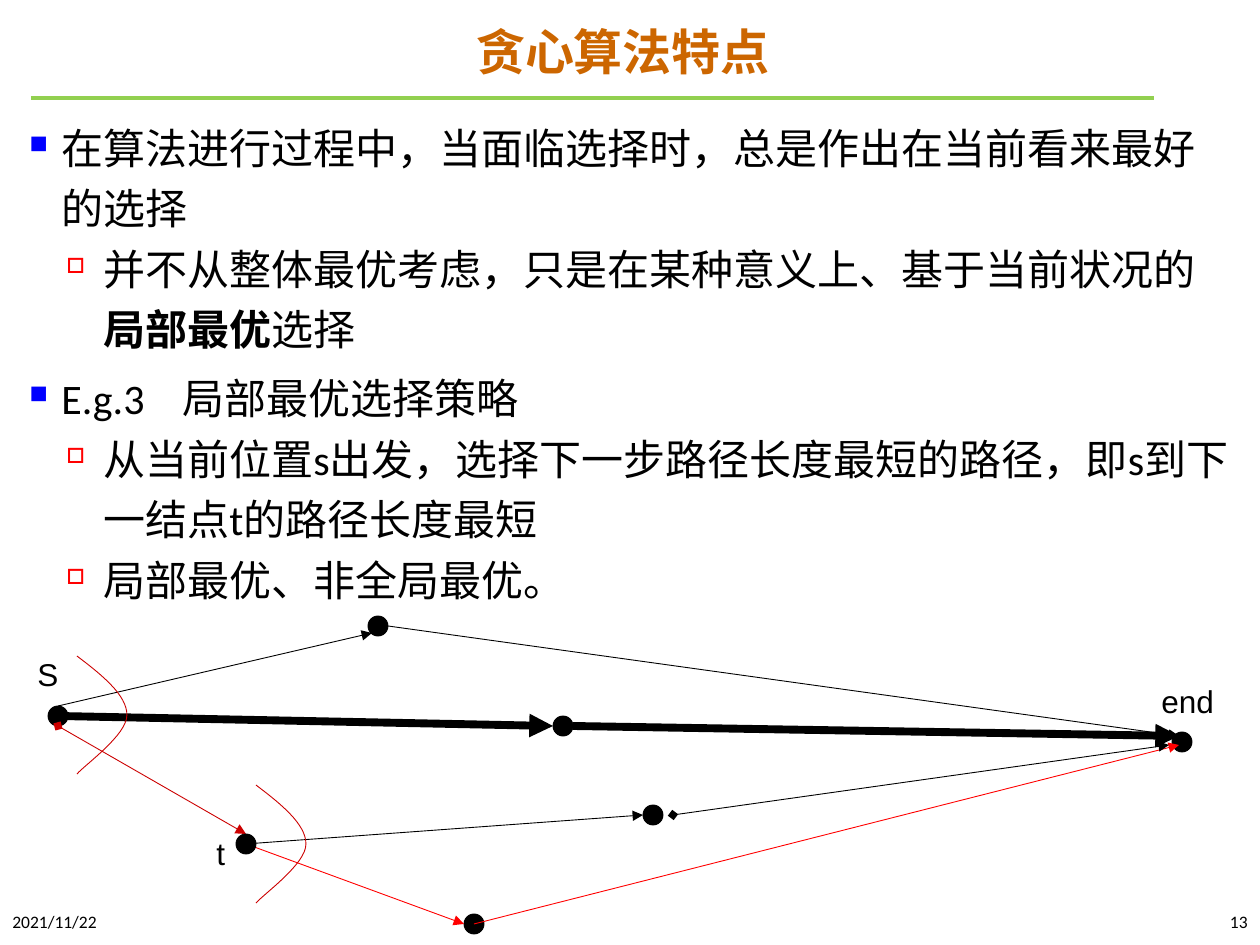
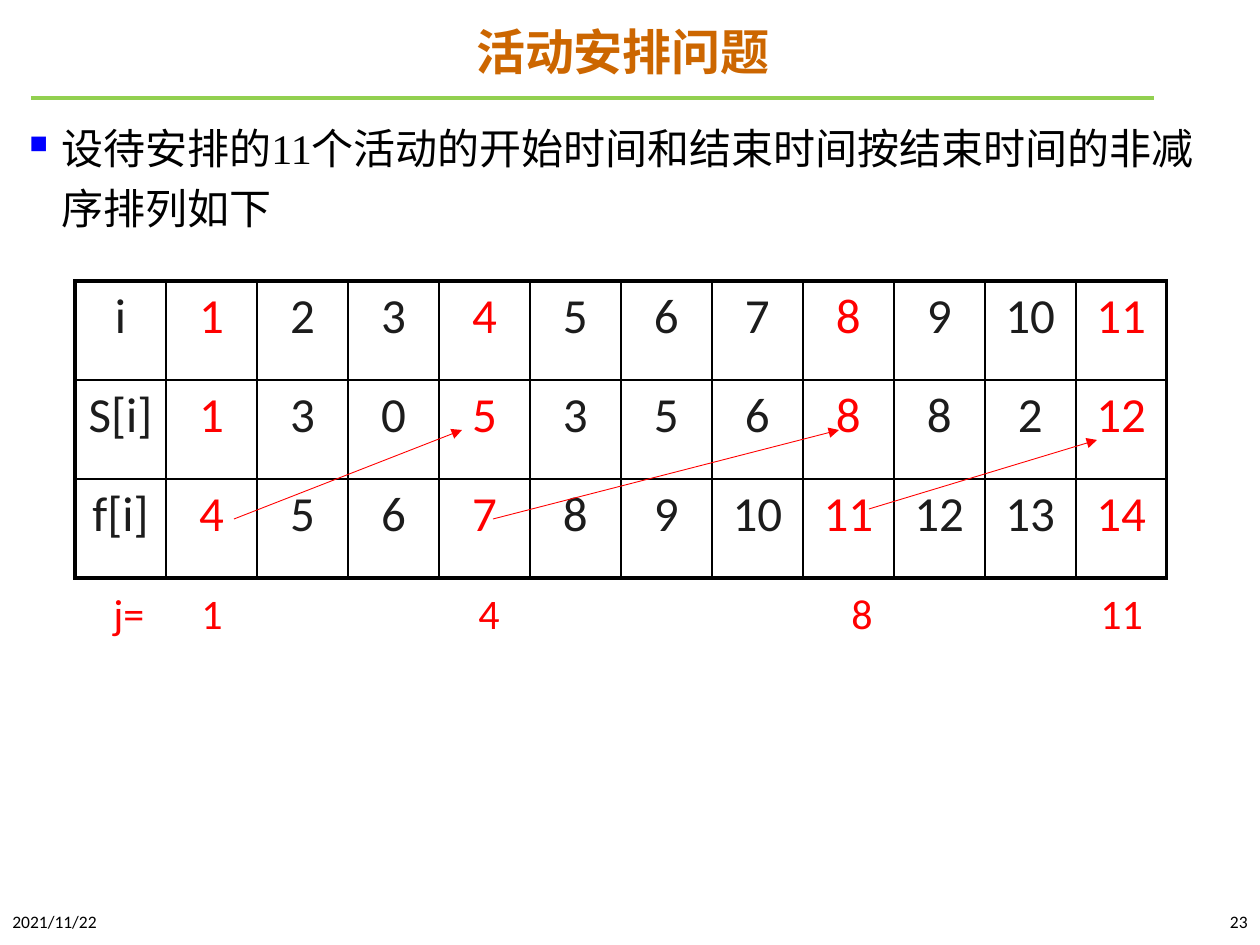
import pptx
import pptx.util
import pptx.dml.color
import pptx.enum.shapes
import pptx.enum.text
import pptx.oxml
import pptx.oxml.ns

PX = 914400 / 126
COLORS = {"black": "000000", "title": "CC6600", "rule": "92D050", "red": "FF0000",
          "dark_red": "CC0000", "blue": "0000FF", "ink": "1C1C1C"}
CJK = "Noto Sans CJK SC"
ALIGN = pptx.enum.text.PP_ALIGN
# level: left margin, first-line indent, space before, Wingdings square, colour, size in percent
LEVELS = [(32, -32, 5, "n", "blue", 60), (74, -37, 0, "o", "red", 50)]


def emu(px):
    return pptx.util.Emu(round(px * PX))


def rgb(color):
    return pptx.dml.color.RGBColor.from_string(COLORS[color])


def add_xml(parent, tag, **attrs):
    child = pptx.oxml.parse_xml(f"<a:{tag} {pptx.oxml.ns.nsdecls('a')}/>")
    for key, value in attrs.items():
        child.set(key, str(value))
    parent.append(child)
    return child


class Deck:
    def __init__(self):
        self.prs = pptx.Presentation()
        self.prs.slide_width, self.prs.slide_height = emu(1260), emu(945)

    def slide(self, title, number):
        """Start a slide with the shared title, rule and footers."""
        self.s = self.prs.slides.add_slide(self.prs.slide_layouts[6])
        self.line((31, 98), (1154, 98), "rule", 2.25)
        p = self.text(title, (80, 12, 1086, 86), 28, CJK, "title", ALIGN.CENTER, middle=True)
        p.line_spacing = 0.9
        p.runs[0].font.bold = True
        self.text("2021/11/22", (0, 900, 284, 43), 10, middle=True)
        self.text(number, (976, 900, 284, 43), 10, align=ALIGN.RIGHT, middle=True)

    def style(self, p, size, font, color):
        for r in p.runs:
            r.font.size = pptx.util.Pt(size)
            r.font.name = font
            r.font.color.rgb = rgb(color)
            add_xml(r.font._element, "ea", typeface=CJK)

    def frame(self, box, wrap=True):
        tf = self.s.shapes.add_textbox(*map(emu, box)).text_frame
        tf.word_wrap = wrap
        return tf

    def text(self, text, box, size, font="Calibri", color="black", align=ALIGN.LEFT,
             middle=False, wrap=True, tabs=()):
        tf = self.frame(box, wrap)
        if middle:
            tf.vertical_anchor = pptx.enum.text.MSO_ANCHOR.MIDDLE
        p = tf.paragraphs[0]
        p.text = text
        p.alignment = align
        self.tabs(p, tabs)
        self.style(p, size, font, color)
        return p

    def tabs(self, p, stops):
        if stops:
            tab_list = add_xml(p._p.get_or_add_pPr(), "tabLst")
            for stop in stops:
                add_xml(tab_list, "tab", pos=emu(stop), algn="l")

    def body(self, items):
        """Bulleted text; parts between asterisks are bold."""
        tf = self.frame((17, 106, 1226, 795))
        for i, (level, font, text, stops) in enumerate(items):
            p = tf.add_paragraph() if i else tf.paragraphs[0]
            left, indent, before, char, color, percent = LEVELS[level]
            p.level = level
            p.line_spacing = 1.2
            p.space_before = pptx.util.Pt(before if i else 0)
            pPr = p._p.get_or_add_pPr()
            pPr.set("marL", str(emu(left)))
            pPr.set("indent", str(emu(indent)))
            add_xml(add_xml(pPr, "buClr"), "srgbClr", val=COLORS[color])
            add_xml(pPr, "buSzPct", val=percent * 1000)
            add_xml(pPr, "buFont", typeface="Wingdings", charset=2)
            add_xml(pPr, "buChar", char=char)
            self.tabs(p, stops)
            for j, part in enumerate(text.split("*")):
                r = p.add_run()
                r.text = part
                r.font.bold = j % 2 == 1
            self.style(p, 24, font, "black")

    def line(self, start, end, color, width=0.5, head=None, tail=None):
        sp = self.s.shapes.add_connector(pptx.enum.shapes.MSO_CONNECTOR.STRAIGHT,
                                         *map(emu, start + end))
        sp.line.color.rgb = rgb(color)
        sp.line.width = pptx.util.Pt(width)
        ln = sp.line._get_or_add_ln()
        for tag, kind in (("headEnd", head), ("tailEnd", tail)):
            if kind:
                add_xml(ln, tag, type=kind)
        add_xml(sp._element.spPr, "effectLst")

    def node(self, x, y):
        sp = self.s.shapes.add_shape(pptx.enum.shapes.MSO_SHAPE.OVAL,
                                     *map(emu, (x - 10, y - 10, 20, 20)))
        sp.shadow.inherit = False
        sp.fill.solid()
        sp.fill.fore_color.rgb = rgb("black")
        sp.line.color.rgb = rgb("black")
        sp.line.width = pptx.util.Pt(0.5)

    def arc(self, x, y):
        """Search front: two cubic curves, sampled into short segments."""
        curves = [((0, 0), (25, 19), (50, 39), (50, 59)),
                  ((50, 59), (50, 79), (9, 108), (0, 118))]
        steps = 16
        points = []
        for curve in curves:
            for k in range(1, steps + 1):
                t = k / steps
                weights = ((1 - t) ** 3, 3 * t * (1 - t) ** 2, 3 * t * t * (1 - t), t ** 3)
                points.append(tuple(emu(base + sum(w * c[axis] for w, c in zip(weights, curve)))
                                    for axis, base in enumerate((x, y))))
        builder = self.s.shapes.build_freeform(emu(x), emu(y))
        builder.add_line_segments(points, close=False)
        sp = builder.convert_to_shape()
        sp.shadow.inherit = False
        sp.fill.background()
        sp.line.color.rgb = rgb("dark_red")
        sp.line.width = pptx.util.Pt(0.5)

    def table(self, rows, x, y, col_w, row_h, red_cols):
        n_rows, n_cols = len(rows), len(rows[0])
        table = self.s.shapes.add_table(n_rows, n_cols, emu(x), emu(y), emu(col_w * n_cols),
                                        emu(row_h * n_rows)).table
        table.first_row = table.horz_banding = False
        for column in table.columns:
            column.width = emu(col_w)
        for i, row in enumerate(rows):
            table.rows[i].height = emu(row_h)
            for j, value in enumerate(row):
                cell = table.cell(i, j)
                p = cell.text_frame.paragraphs[0]
                p.text = value
                p.alignment = ALIGN.CENTER
                self.style(p, 28, "Calibri", "red" if j in red_cols else "ink")
                outer = {"lnL": j == 0, "lnR": j == n_cols - 1,
                         "lnT": i == 0, "lnB": i == n_rows - 1}
                tcPr = cell._tc.get_or_add_tcPr()
                for tag, thick in outer.items():
                    ln = add_xml(tcPr, tag, w=pptx.util.Pt(2.25 if thick else 1))
                    add_xml(add_xml(ln, "solidFill"), "srgbClr", val=COLORS["black"])
                cell.fill.background()


def greedy_slide(deck):
    deck.slide("贪心算法特点", "13")
    deck.body([
        (0, "Times New Roman", "在算法进行过程中，当面临选择时，总是作出在当前看来最好的选择", ()),
        (1, "Times New Roman", "并不从整体最优考虑，只是在某种意义上、基于当前状况的*局部最优*选择", ()),
        (0, "Calibri", "E.g.3\t局部最优选择策略", (153,)),
        (1, "Calibri", "从当前位置s出发，选择下一步路径长度最短的路径，即s到下一结点t的路径长度最短", ()),
        (1, "Calibri", "局部最优、非全局最优。", ()),
    ])
    # Graph nodes: S, end, and the stops between them
    for x, y in [(58, 716), (1182, 742), (563, 726), (474, 924), (378, 626), (653, 815)]:
        deck.node(x, y)
    # Paths
    for start, end, color, width, head in [
            ((58, 716), (553, 726), "black", 4.5, None),
            ((573, 726), (1179, 736), "black", 4.5, None),
            ((58, 726), (246, 834), "dark_red", 0.5, "diamond"),
            ((58, 706), (372, 633), "black", 0.5, None),
            ((246, 844), (464, 924), "red", 0.5, "diamond"),
            ((474, 924), (1179, 745), "red", 0.5, None),
            ((388, 626), (1179, 736), "black", 0.5, None),
            ((246, 844), (643, 815), "black", 0.5, "diamond"),
            ((673, 815), (1169, 745), "black", 0.5, "diamond")]:
        deck.line(start, end, color, width, head, "triangle")
    deck.node(246, 844)
    # Search fronts and labels
    deck.arc(77, 656)
    deck.arc(256, 785)
    for label, x, y, w in [("S", 25, 649, 47), ("end", 1149, 676, 78), ("t", 204, 828, 34)]:
        deck.text(label, (x, y, w, 50), 18, "Arial", wrap=False)


def activity_slide(deck):
    deck.slide("活动安排问题", "23")
    deck.body([(0, "Times New Roman",
                "设待安排的11个活动的开始时间和结束时间按结束时间的非减序排列如下", ())])
    # Start and finish times, chosen activities in red
    rows = ["i 1 2 3 4 5 6 7 8 9 10 11",
            "S[i] 1 3 0 5 3 5 6 8 8 2 12",
            "f[i] 4 5 6 7 8 9 10 11 12 13 14"]
    deck.table([row.split() for row in rows], 75, 281, 91, 99, {1, 4, 8, 11})
    # From each finish to the next chosen start
    for start, end in [((234, 519), (462, 430)), ((493, 519), (839, 430)),
                       ((869, 509), (1097, 440))]:
        deck.line(start, end, "red", tail="triangle")
    deck.text("j=\t1\t4\t8\t11", (101, 581, 1066, 63), 24, color="red",
              tabs=(88, 365, 738, 987))


def main():
    deck = Deck()
    greedy_slide(deck)
    activity_slide(deck)
    deck.prs.save("out.pptx")


if __name__ == "__main__":
    main()
